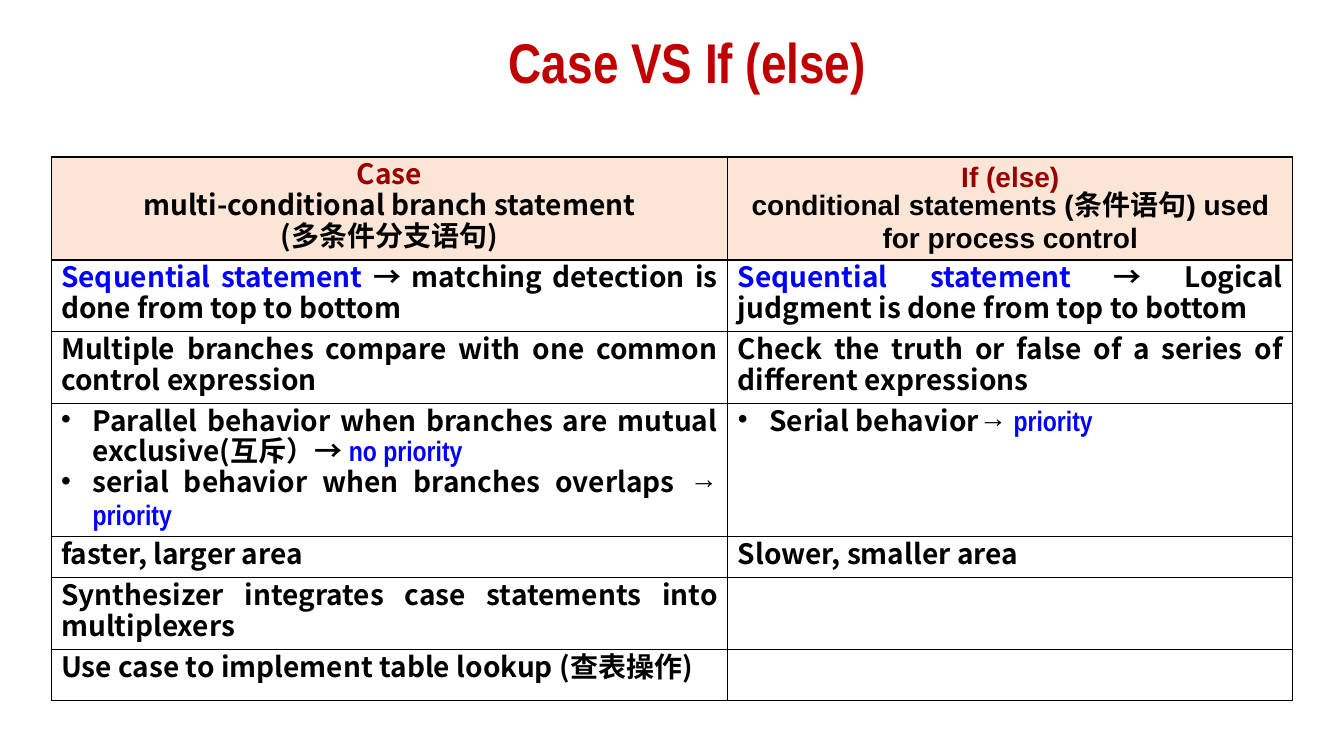
from lxml.etree import SubElement
from pptx import Presentation
from pptx.dml.color import RGBColor
from pptx.enum.text import MSO_ANCHOR, PP_ALIGN
from pptx.oxml.ns import qn
from pptx.util import Pt

BLACK = RGBColor(0x00, 0x00, 0x00)
WHITE = RGBColor(0xFF, 0xFF, 0xFF)
RED = RGBColor(0xC0, 0x00, 0x00)
DARK_RED = RGBColor(0x99, 0x00, 0x00)
BLUE = RGBColor(0x00, 0x00, 0xFF)
PEACH = RGBColor(0xFB, 0xE5, 0xD6)

SANS = "Noto Sans CJK SC"
NARROW = "Arial Narrow"
ARIAL = "Arial"

COLUMN_SHARES = (0.545, 0.455)
ROW_HEIGHTS = (73.5, 51.2, 51.2, 95.2, 29.2, 51.2, 36.5)
LINE_SPACING = 22
BULLET_INDENT = 22.5

# A cell is a list of paragraphs; a paragraph is a list of (text, format) runs.
HEADINGS = [
    [[("Case", {"color": DARK_RED})],
     [("multi-conditional branch statement", {})],
     [("(多条件分支语句)", {})]],
    [[("If (else)", {"color": DARK_RED, "font": ARIAL})],
     [("conditional statements (条件语句) used for process control", {"font": ARIAL})]],
]
SEQUENTIAL = ("Sequential statement ", {"color": BLUE})
ARROW = ("→ ", {"font": NARROW})
PRIORITY = ("priority", {"font": NARROW, "color": BLUE})
COMPARISON = [
    [[[SEQUENTIAL, ("→ matching detection is done from top to bottom", {})]],
     [[SEQUENTIAL, ("→ Logical judgment is done from top to bottom", {})]]],
    [[[("Multiple branches compare with one common control expression", {})]],
     [[("Check the truth or false of a series of different expressions", {})]]],
    [[[("Parallel behavior when branches are mutual exclusive(互斥）", {}), ARROW,
       ("no priority", {"font": NARROW, "color": BLUE})],
      [("serial behavior when branches overlaps ", {}), ARROW, PRIORITY]],
     [[("Serial behavior", {}), ARROW, PRIORITY]]],
    [[[("faster, larger area", {})]], [[("Slower, smaller area", {})]]],
    [[[("Synthesizer integrates case statements into multiplexers", {})]], []],
    [[[("Use case to implement table lookup (查表操作)", {})]], []],
]
BULLETED_ROW = 3


def add_text(paragraph, text, *, font=SANS, size=20, color=BLACK, bold=True):
    run = paragraph.add_run()
    run.text = text
    run.font.name = font
    run.font.size = Pt(size)
    run.font.bold = bold
    run.font.color.rgb = color
    east_asian = SubElement(run.font._element, qn("a:ea"))
    east_asian.set("typeface", SANS)
    run.font._element.find(qn("a:latin")).addnext(east_asian)


def add_bullet(paragraph):
    properties = paragraph._p.get_or_add_pPr()
    properties.set("marL", str(Pt(BULLET_INDENT)))
    properties.set("indent", str(-Pt(BULLET_INDENT)))
    SubElement(properties, qn("a:buFont")).set("typeface", ARIAL)
    SubElement(properties, qn("a:buChar")).set("char", "•")


def draw_borders(cell):
    """Draw a thin black line on all four sides; call before filling the cell."""
    properties = cell._tc.get_or_add_tcPr()
    for side in ("a:lnL", "a:lnR", "a:lnT", "a:lnB"):
        line = SubElement(properties, qn(side), w=str(Pt(1)))
        fill = SubElement(line, qn("a:solidFill"))
        SubElement(fill, qn("a:srgbClr"), val=str(BLACK))


def fill_cell(cell, paragraphs, *, background, align, bulleted):
    draw_borders(cell)
    cell.fill.solid()
    cell.fill.fore_color.rgb = background
    for index, runs in enumerate(paragraphs):
        frame = cell.text_frame
        paragraph = frame.add_paragraph() if index else frame.paragraphs[0]
        paragraph.alignment = align
        paragraph.line_spacing = Pt(LINE_SPACING)
        if bulleted:
            add_bullet(paragraph)
        for text, style in runs:
            add_text(paragraph, text, **style)


def add_title(slide, left, top, width, height):
    title = slide.shapes.title
    title.left, title.top = Pt(left), Pt(top)
    title.width, title.height = Pt(width), Pt(height)
    title.text_frame.vertical_anchor = MSO_ANCHOR.MIDDLE
    heading = title.text_frame.paragraphs[0]
    heading.alignment = PP_ALIGN.CENTER
    heading.line_spacing = 0.9
    add_text(heading, "Case VS If (else)", font=NARROW, size=40, color=RED)


def add_comparison(slide, left, top, width):
    rows = [HEADINGS, *COMPARISON]
    table = slide.shapes.add_table(
        len(rows), len(COLUMN_SHARES),
        Pt(left), Pt(top), Pt(width), Pt(sum(ROW_HEIGHTS))).table
    table.first_row = False
    table.horz_banding = False
    for column, share in zip(table.columns, COLUMN_SHARES):
        column.width = Pt(width * share)
    for index, (row, height) in enumerate(zip(table.rows, ROW_HEIGHTS)):
        row.height = Pt(height)
        is_heading = index == 0
        for cell, paragraphs in zip(row.cells, rows[index]):
            fill_cell(cell, paragraphs,
                      background=PEACH if is_heading else WHITE,
                      align=PP_ALIGN.CENTER if is_heading else PP_ALIGN.JUSTIFY,
                      bulleted=index == BULLETED_ROW)


def main():
    presentation = Presentation()
    presentation.slide_width, presentation.slide_height = Pt(960), Pt(540)
    slide = presentation.slides.add_slide(presentation.slide_layouts[5])
    add_title(slide, 77, 10, 828, 73.5)
    add_comparison(slide, 36.5, 112.2, 887)
    presentation.save("out.pptx")


if __name__ == "__main__":
    main()
